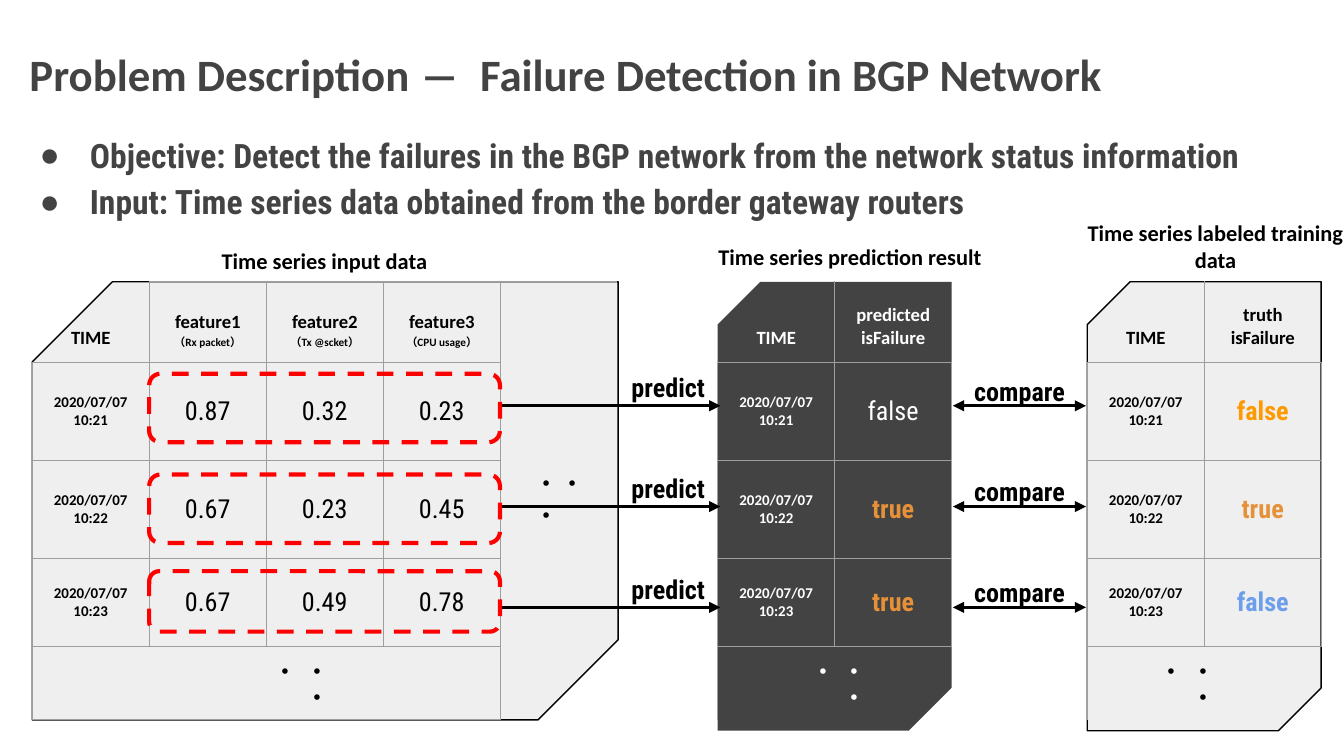
from lxml.etree import SubElement
from pptx import Presentation
from pptx.dml.color import RGBColor
from pptx.enum.dml import MSO_LINE
from pptx.enum.shapes import MSO_CONNECTOR, MSO_SHAPE
from pptx.enum.text import MSO_ANCHOR, MSO_AUTO_SIZE, PP_ALIGN
from pptx.oxml.ns import qn
from pptx.util import Pt

BLACK = RGBColor(0x00, 0x00, 0x00)
WHITE = RGBColor(0xFF, 0xFF, 0xFF)
DARK = RGBColor(0x43, 0x43, 0x43)
PALE = RGBColor(0xEF, 0xEF, 0xEF)
RED = RGBColor(0xFF, 0x00, 0x00)
AMBER = RGBColor(0xFF, 0x99, 0x00)
ORANGE = RGBColor(0xE6, 0x91, 0x38)
BLUE = RGBColor(0x6D, 0x9E, 0xEB)
GRID = "9E9E9E"
HEADING_FONT, TEXT_FONT = "Calibri", "Roboto Condensed"

TITLE = "Problem Description ―  Failure Detection in BGP Network"
BULLETS = [
    "Objective: Detect the failures in the BGP network from the network status information",
    "Input: Time series data obtained from the border gateway routers",
]
TIMES = ["2020/07/07 10:21", "2020/07/07 10:22", "2020/07/07 10:23"]

# Each value is (text, colour); a value without a colour takes the table's ink.
# "open" names the cell edges that have no border: {(row, column): edges}.
SNIPPED = {(0, 0): "LT", (0, 1): "RT", (4, 0): "RB", (4, 1): "RB"}
TABLES = [
    dict(
        caption="Time series input data", caption_box=(79.9, 125.3, 187.9),
        left=17.3, frame=(313.9, 234.7), fill=PALE, outline=BLACK, ink=BLACK,
        header=[["feature1", ("（Rx packet）", 6)], ["feature2", ("（Tx @scket）", 6)],
                ["feature3", ("（CPU usage）", 6)]],
        values=[[("0.87", None), ("0.32", None), ("0.23", None)],
                [("0.67", None), ("0.23", None), ("0.45", None)],
                [("0.67", None), ("0.49", None), ("0.78", None)]],
        more_column=True, dots=150.5,
        open={(0, 0): "LT", **{(row, 4): "RB" for row in range(5)}},
    ),
    dict(
        caption="Time series prediction result", caption_box=(366.5, 123.1, 177.8),
        left=384.5, frame=(125.3, 240.5), fill=DARK, outline=None, ink=WHITE,
        header=[["predicted", "isFailure"]],
        values=[[("false", None)], [("true", ORANGE)], [("true", ORANGE)]],
        more_column=False, dots=438.5, open=SNIPPED,
    ),
    dict(
        caption="Time series labeled training data", caption_box=(573.1, 110.2, 156.2),
        left=582.5, frame=(125.3, 240.5), fill=PALE, outline=BLACK, ink=BLACK,
        header=[["truth", "isFailure"]],
        values=[[("false", AMBER)], [("true", ORANGE)], [("false", BLUE)]],
        more_column=False, dots=625, open=SNIPPED,
    ),
]
TABLE_TOP, COLUMN_WIDTH = 150.6, 62.7
ROW_HEIGHTS = [43.7, 52.5, 52.5, 47, 39.4]
HIGHLIGHTS = [(200.2, 36.7), (254.2, 36.7), (306, 32.4)]  # top, height
ARROW_TOP, ARROW_STEP = 217.4, 54
# word, arrow start, arrow end, label left, label top, label width, two-headed
STEPS = [
    ("predict", 267.8, 385.9, 331.2, 192, 54, False),
    ("compare", 510.5, 581.8, 514.8, 193.7, 63.4, True),
]
DOTS = "・・・"


def write(frame, lines, size=14, font=TEXT_FONT, color=BLACK, bold=False, align=PP_ALIGN.LEFT):
    """Fill a text frame; a line is a text or a (text, size) pair."""
    for index, line in enumerate(lines):
        text, line_size = (line, size) if isinstance(line, str) else line
        para = frame.paragraphs[0] if index == 0 else frame.add_paragraph()
        para.alignment = align
        span = para.add_run()
        span.text = text
        span.font.size, span.font.name = Pt(line_size), font
        span.font.bold, span.font.color.rgb = bold, color


def set_margins(holder):
    holder.margin_left = holder.margin_right = Pt(7.2)
    holder.margin_top = holder.margin_bottom = Pt(7.2)


def prepare(shape, left, top, width, height, anchor=MSO_ANCHOR.TOP, wrap=True):
    shape.left, shape.top, shape.width, shape.height = map(Pt, (left, top, width, height))
    frame = shape.text_frame
    frame.auto_size, frame.word_wrap = MSO_AUTO_SIZE.NONE, wrap
    frame.vertical_anchor = anchor
    set_margins(frame)
    return frame


def add_label(page, text, left, top, width, height, wrap=True, rotation=0, **style):
    box = page.shapes.add_textbox(0, 0, 0, 0)
    box.rotation = rotation
    write(prepare(box, left, top, width, height, wrap=wrap), [text], **style)


def add_outline(page, kind, left, top, width, height, fill=None, line=None, line_width=0.75):
    shape = page.shapes.add_shape(kind, *map(Pt, (left, top, width, height)))
    shape.shadow.inherit = False
    for part, color in ((shape.fill, fill), (shape.line.fill, line)):
        if color is None:
            part.background()
        else:
            part.solid()
            part.fore_color.rgb = color
    if line is not None:
        shape.line.width = Pt(line_width)
    return shape


def format_cell(cell, open_edges):
    set_margins(cell)
    properties = cell._tc.get_or_add_tcPr()
    for edge in "LRTB":
        border = SubElement(properties, qn(f"a:ln{edge}"), w=str(Pt(0.75)))
        if edge in open_edges:
            SubElement(border, qn("a:noFill"))
        else:
            SubElement(SubElement(border, qn("a:solidFill")), qn("a:srgbClr"), val=GRID)
    cell.fill.background()


def add_series_table(page, data):
    ink = data["ink"]
    last = len(data["header"])
    columns = 1 + last + data["more_column"]
    frame = page.shapes.add_table(
        len(ROW_HEIGHTS), columns, Pt(data["left"]), Pt(TABLE_TOP),
        Pt(COLUMN_WIDTH * columns), Pt(sum(ROW_HEIGHTS)))
    table = frame.table
    table.first_row = table.horz_banding = False
    for column in table.columns:
        column.width = Pt(COLUMN_WIDTH)
    for row, height in zip(table.rows, ROW_HEIGHTS):
        row.height = Pt(height)
    for row in range(len(ROW_HEIGHTS)):
        for column in range(columns):
            format_cell(table.cell(row, column), data["open"].get((row, column), ""))
    if data["more_column"]:
        table.cell(0, columns - 1).merge(table.cell(4, columns - 1))
    table.cell(4, 0).merge(table.cell(4, last))

    def put(row, column, lines, anchor=MSO_ANCHOR.MIDDLE, **style):
        cell = table.cell(row, column)
        cell.vertical_anchor = anchor
        write(cell.text_frame, lines, align=PP_ALIGN.CENTER, **style)

    heading = dict(font=HEADING_FONT, color=ink, bold=True)
    for column, lines in enumerate([["TIME"], *data["header"]]):
        put(0, column, lines, anchor=MSO_ANCHOR.BOTTOM, size=10, **heading)
    for row, (time, values) in enumerate(zip(TIMES, data["values"]), start=1):
        put(row, 0, [time], size=8, **heading)
        for column, (text, color) in enumerate(values, start=1):
            put(row, column, [text], color=color or ink, bold=color is not None)


def add_arrow(page, start, end, top, two_headed):
    arrow = page.shapes.add_connector(MSO_CONNECTOR.STRAIGHT, Pt(start), Pt(top), Pt(end), Pt(top))
    arrow.line.color.rgb, arrow.line.width = BLACK, Pt(1.5)
    line = arrow.line._get_or_add_ln()
    for end_name in ("headEnd", "tailEnd") if two_headed else ("tailEnd",):
        SubElement(line, qn(f"a:{end_name}"), type="triangle")
    SubElement(arrow._element.spPr, qn("a:effectLst"))


def add_bullet(para):
    para.line_spacing, para.space_before, para.space_after = 1.15, Pt(0), Pt(0)
    properties = para._p.get_or_add_pPr()
    properties.set("marL", str(Pt(36)))
    properties.set("indent", str(Pt(-27)))
    SubElement(SubElement(properties, qn("a:buClr")), qn("a:srgbClr"), val=str(DARK))
    SubElement(properties, qn("a:buChar"), char="●")


def main():
    deck = Presentation()
    deck.slide_width, deck.slide_height = Pt(720), Pt(405)
    page = deck.slides.add_slide(deck.slide_layouts[1])

    title = prepare(page.shapes.title, 8.6, 15.8, 686.9, 47.5, anchor=MSO_ANCHOR.MIDDLE)
    write(title, [TITLE], size=24, font=HEADING_FONT, color=DARK, bold=True)
    body = prepare(page.placeholders[1], 5, 61.9, 697.7, 69.1)
    write(body, BULLETS, size=18, color=DARK, bold=True)
    for para in body.paragraphs:
        add_bullet(para)

    for data in TABLES:
        width, height = data["frame"]
        card = add_outline(page, MSO_SHAPE.SNIP_2_DIAG_RECTANGLE, data["left"], TABLE_TOP + 0.4,
                           width, height, fill=data["fill"], line=data["outline"])
        card.adjustments[0], card.adjustments[1] = 0.183, 0
        add_series_table(page, data)
        add_label(page, DOTS, data["dots"], 356.4, 46.1, 24.5, rotation=90, color=data["ink"])
        add_label(page, data["caption"], *data["caption_box"], 24.5, size=12,
                  font=HEADING_FONT, bold=True, align=PP_ALIGN.CENTER)
    add_label(page, DOTS, 278.6, 243.4, 46.1, 24.5)

    for word, start, end, left, top, width, two_headed in STEPS:
        for offset in (ARROW_STEP * row for row in range(len(TIMES))):
            add_arrow(page, start, end, ARROW_TOP + offset, two_headed)
            add_label(page, word, left, top + offset, width, 20.2, wrap=False, bold=True)

    for top, height in HIGHLIGHTS:
        highlight = add_outline(page, MSO_SHAPE.ROUNDED_RECTANGLE, 79.9, top, 187.9, height,
                                line=RED, line_width=2.25)
        highlight.line.dash_style = MSO_LINE.DASH
    deck.save("out.pptx")


if __name__ == "__main__":
    main()
